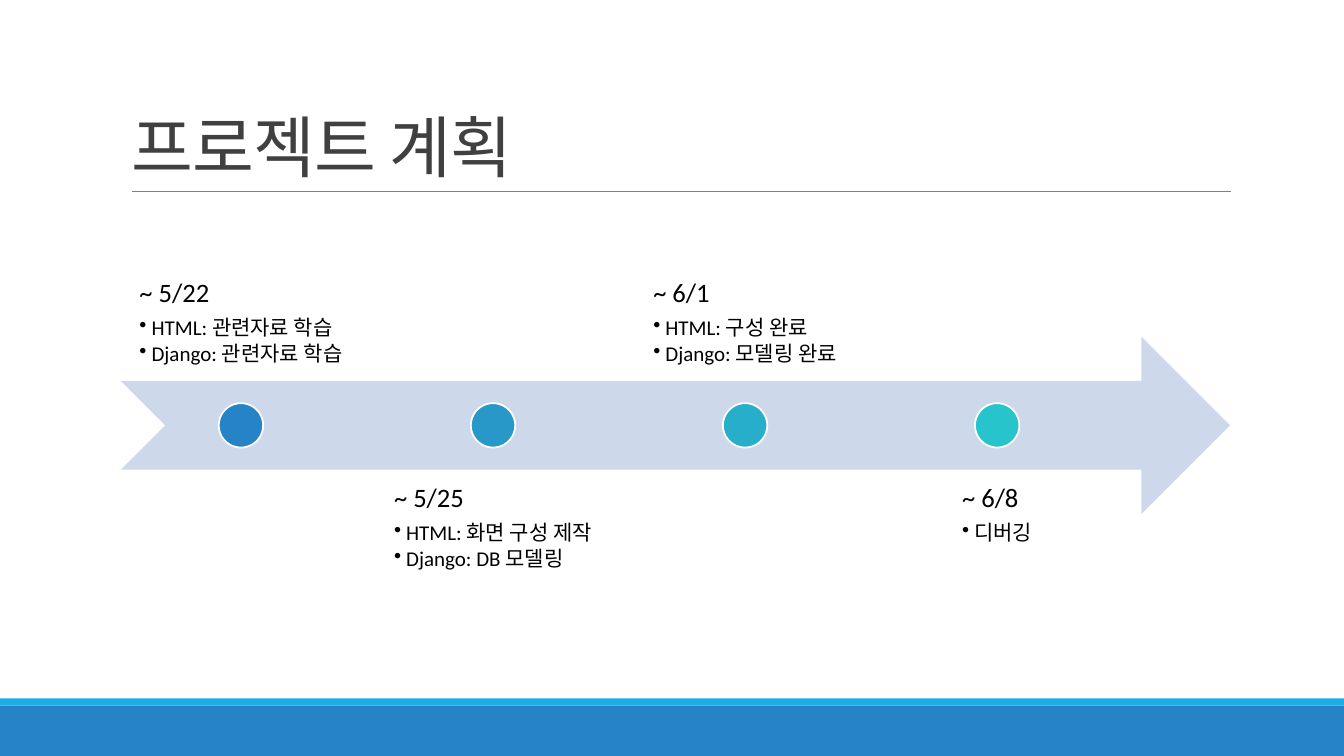
import pptx
import pptx.util
import pptx.dml.color
import pptx.enum.shapes
import pptx.enum.text
import pptx.oxml.ns
import lxml.etree

Inches = pptx.util.Inches
Pt = pptx.util.Pt
RGBColor = pptx.dml.color.RGBColor
MSO_SHAPE = pptx.enum.shapes.MSO_SHAPE
MSO_ANCHOR = pptx.enum.text.MSO_ANCHOR
qn = pptx.oxml.ns.qn

FONT = "Calibri"
BLUE = RGBColor(0x26, 0x83, 0xC6)
SKY = RGBColor(0x1C, 0xAD, 0xE4)
PALE = RGBColor(0xCD, 0xD9, 0xEA)
GRAY = RGBColor(0x80, 0x80, 0x80)
DARK = RGBColor(0x40, 0x40, 0x40)
BLACK = RGBColor(0, 0, 0)
WHITE = RGBColor(0xFF, 0xFF, 0xFF)

MILESTONES = [
    ("~ 5/22", ["HTML: 관련자료 학습", "Django: 관련자료 학습"], BLUE),
    ("~ 5/25", ["HTML: 화면 구성 제작", "Django: DB 모델링"],
     RGBColor(0x27, 0x98, 0xC8)),
    ("~ 6/1", ["HTML: 구성 완료", "Django: 모델링 완료"],
     RGBColor(0x27, 0xAE, 0xCA)),
    ("~ 6/8", ["디버깅"], RGBColor(0x28, 0xC4, 0xCC)),
]


def add_filled(s, kind, x, y, w, h, color):
    sp = s.shapes.add_shape(kind, Inches(x), Inches(y), Inches(w), Inches(h))
    sp.shadow.inherit = False
    sp.fill.solid()
    sp.fill.fore_color.rgb = color
    sp.line.fill.background()
    return sp


def format_paragraph(p, size, color, line_spacing):
    p.line_spacing = line_spacing
    for r in p.runs:
        r.font.name = FONT
        r.font.size = Pt(size)
        r.font.color.rgb = color


def add_footer_bars(s, x, y, w, h):
    stripe = 0.07
    add_filled(s, MSO_SHAPE.RECTANGLE, x, y + stripe, w, h - stripe, BLUE)
    add_filled(s, MSO_SHAPE.RECTANGLE, x, y, w, stripe, SKY)


def add_title(s, x, y, w, h):
    """Place the title with a rule along the bottom of its box."""
    title = s.shapes.title
    title.left, title.top = Inches(x), Inches(y)
    title.width, title.height = Inches(w), Inches(h)
    tf = title.text_frame
    tf.text = "프로젝트 계획"
    tf.auto_size = pptx.enum.text.MSO_AUTO_SIZE.NONE
    tf.vertical_anchor = MSO_ANCHOR.BOTTOM
    p = tf.paragraphs[0]
    p.alignment = pptx.enum.text.PP_ALIGN.LEFT
    format_paragraph(p, 48, DARK, 0.85)
    p.runs[0].font._element.set("spc", "-50")

    rule = s.shapes.add_connector(
        pptx.enum.shapes.MSO_CONNECTOR.STRAIGHT,
        Inches(x + 0.11), Inches(y + h), Inches(x + w + 0.01), Inches(y + h))
    rule.line.color.rgb = GRAY
    rule.line.width = Pt(0.5)
    lxml.etree.SubElement(rule._element.spPr, qn("a:effectLst"))


def add_bullet(p):
    pPr = p._p.get_or_add_pPr()
    pPr.set("marL", str(Inches(0.12)))
    pPr.set("indent", str(Inches(-0.12)))
    lxml.etree.SubElement(pPr, qn("a:buChar")).set("char", "•")


def add_label(s, x, y, w, h, date, tasks, anchor):
    sp = s.shapes.add_textbox(Inches(x), Inches(y), Inches(w), Inches(h))
    tf = sp.text_frame
    tf.word_wrap = True
    tf.vertical_anchor = anchor
    tf.margin_left = tf.margin_right = Inches(0.15)
    tf.margin_top = tf.margin_bottom = Inches(0.15)
    # Centre the left-aligned text block within its box
    tf._txBody.bodyPr.set("anchorCtr", "1")
    p = tf.paragraphs[0]
    p.text = date
    format_paragraph(p, 19, BLACK, 0.9)
    p.space_after = Pt(6.65)
    for task in tasks:
        p = tf.add_paragraph()
        p.text = task
        format_paragraph(p, 15, BLACK, 0.9)
        p.space_after = Pt(2.25)
        add_bullet(p)


def add_timeline(s, x, y, w, h):
    """Draw the arrow across the middle, labels alternating above and below."""
    band = h * 0.4
    add_filled(s, MSO_SHAPE.NOTCHED_RIGHT_ARROW, x, y + (h - band) / 2,
               w, band, PALE)
    label_w, pitch, dot = 2.38, 2.5, 0.44
    for i, (date, tasks, color) in enumerate(MILESTONES):
        left = x + i * pitch
        if i % 2 == 0:
            top, anchor = y, MSO_ANCHOR.BOTTOM
        else:
            top, anchor = y + h - band, MSO_ANCHOR.TOP
        add_label(s, left, top, label_w, band, date, tasks, anchor)
        sp = add_filled(s, MSO_SHAPE.OVAL, left + (label_w - dot) / 2,
                        y + (h - dot) / 2, dot, dot, color)
        sp.line.color.rgb = WHITE
        sp.line.width = Pt(1.25)


def main():
    prs = pptx.Presentation()
    prs.slide_width, prs.slide_height = Inches(13.33), Inches(7.5)
    s = prs.slides.add_slide(prs.slide_layouts.get_by_name("Title Only"))
    add_footer_bars(s, 0, 6.93, 13.33, 0.57)
    add_title(s, 1.2, 0.31, 11, 1.59)
    add_timeline(s, 1.2, 2.02, 11, 4.4)
    prs.save("out.pptx")


if __name__ == "__main__":
    main()
